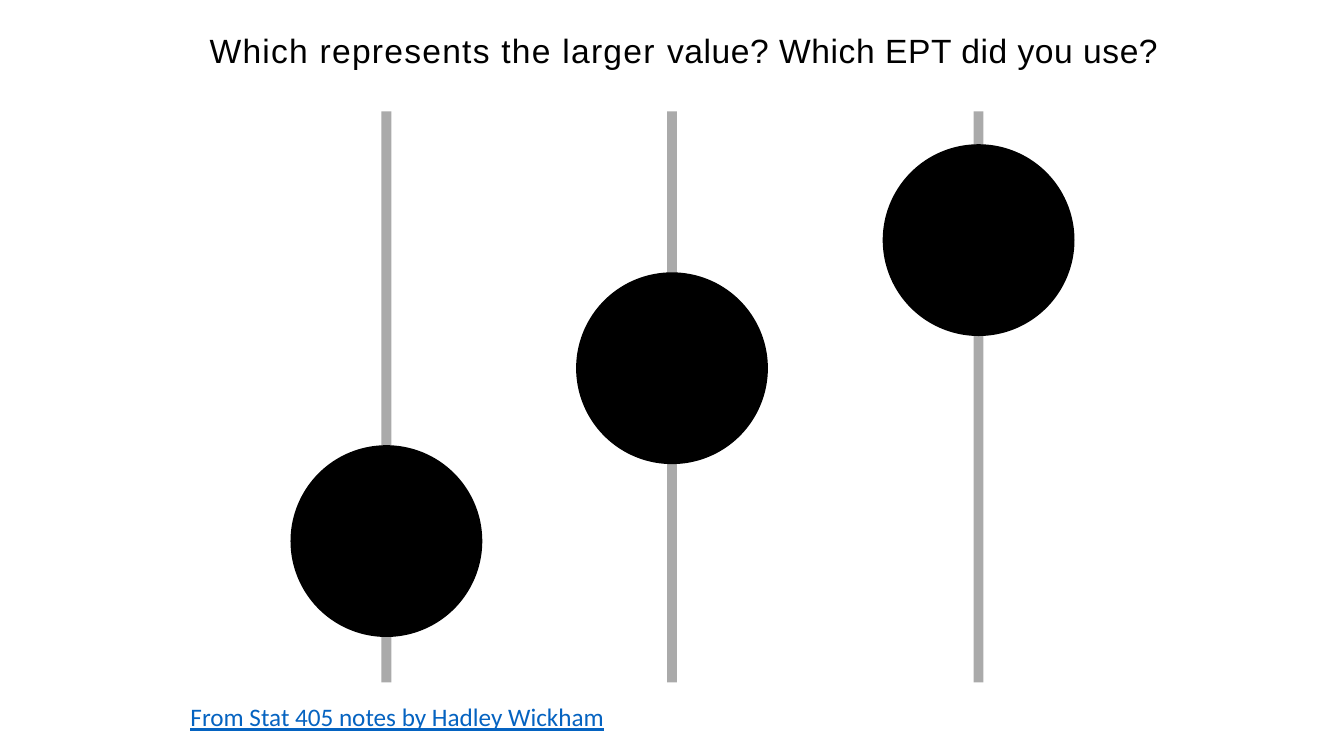
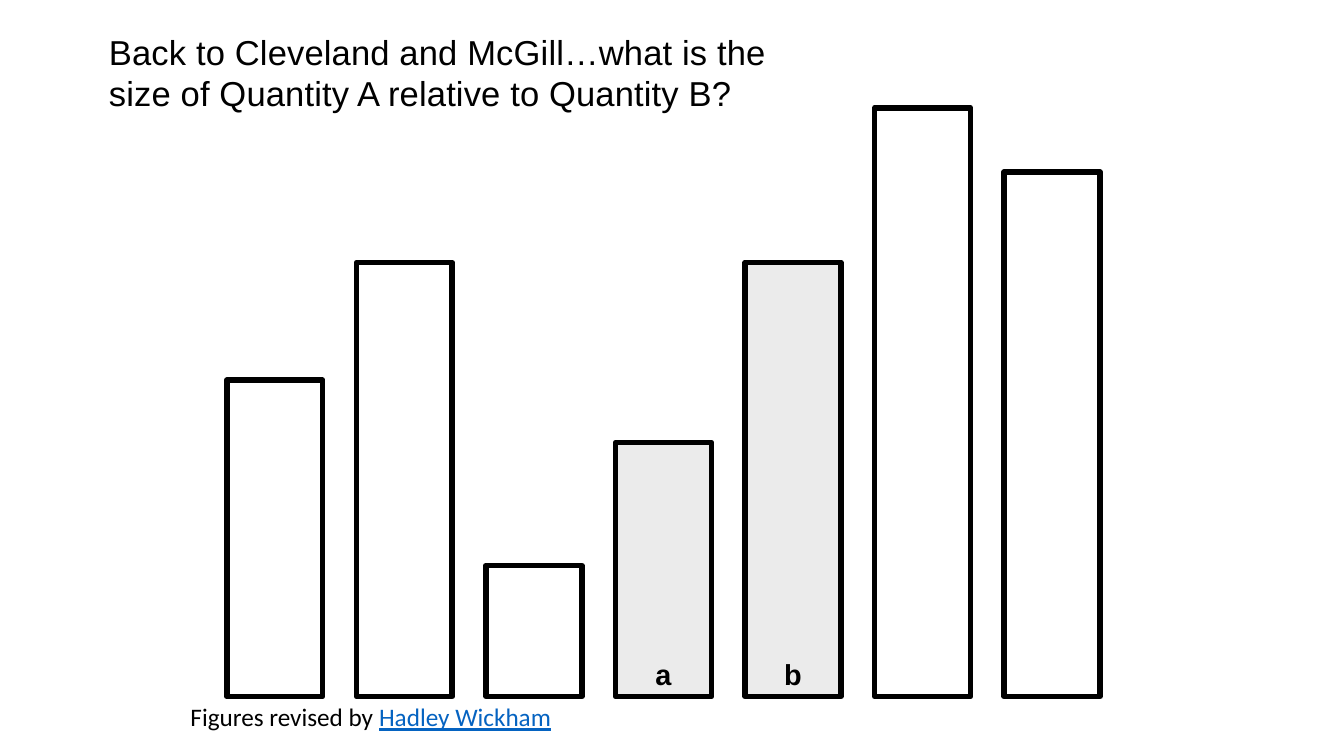
import pptx
import pptx.dml.color
import pptx.enum.shapes
import pptx.enum.text
import pptx.util

Pt = pptx.util.Pt
RGBColor = pptx.dml.color.RGBColor
Shape = pptx.enum.shapes.MSO_SHAPE
Anchor = pptx.enum.text.MSO_ANCHOR
Align = pptx.enum.text.PP_ALIGN

BLACK = RGBColor(0x00, 0x00, 0x00)
TRACK_GRAY = RGBColor(0xAA, 0xAA, 0xAA)
HIGHLIGHT_GRAY = RGBColor(0xEB, 0xEB, 0xEB)
LINK_BLUE = RGBColor(0x05, 0x63, 0xC1)


def write(paragraph, text, font="Arial", size=24, color=BLACK, bold=False,
          underline=False, spacing=0):
    """Append a formatted run; spacing is the letter spacing in points."""
    run = paragraph.add_run()
    run.text = text
    run.font.name = font
    run.font.size = Pt(size)
    run.font.color.rgb = color
    run.font.bold = bold
    run.font.underline = underline
    if spacing:
        run._r.get_or_add_rPr().set("spc", str(round(spacing * 100)))


class Deck:
    """Holds the shared style and the current slide."""

    def __init__(self):
        """Start an empty widescreen presentation."""
        self.presentation = pptx.Presentation()
        self.presentation.slide_width = Pt(960)
        self.presentation.slide_height = Pt(540)
        self.slide = None

    def new_slide(self):
        """Add a slide that has only a title."""
        layout = self.presentation.slide_layouts.get_by_name("Title Only")
        self.slide = self.presentation.slides.add_slide(layout)

    def frame(self, holder, left, top, width, height, inset):
        """Place a text holder and return its first paragraph."""
        holder.left, holder.top = Pt(left), Pt(top)
        holder.width, holder.height = Pt(width), Pt(height)
        text_frame = holder.text_frame
        text_frame.word_wrap = True
        text_frame.auto_size = pptx.enum.text.MSO_AUTO_SIZE.NONE
        text_frame.vertical_anchor = Anchor.TOP
        text_frame.margin_left = text_frame.margin_right = Pt(inset)
        text_frame.margin_top = text_frame.margin_bottom = Pt(inset / 2)
        paragraph = text_frame.paragraphs[0]
        paragraph.alignment = Align.LEFT
        return paragraph

    def title(self, runs, left, top, width, height, inset=0, size=24, leading=None):
        """Fill the title from pairs of text and letter spacing."""
        paragraph = self.frame(self.slide.shapes.title, left, top, width, height, inset)
        if leading:
            paragraph.line_spacing = Pt(leading)
        for text, spacing in runs:
            write(paragraph, text, size=size, spacing=spacing)

    def credit(self, link, lead=""):
        """Add the source line at the foot, with the link part underlined."""
        box = self.slide.shapes.add_textbox(0, 0, 0, 0)
        paragraph = self.frame(box, 129, 497.5, 340, 29, inset=7.2)
        if lead:
            write(paragraph, lead, font="Calibri", size=18)
        write(paragraph, link, font="Calibri", size=18, color=LINK_BLUE, underline=True)

    def shape(self, kind, left, top, width, height, fill=None, outline=None):
        """Add a flat preset shape."""
        shape = self.slide.shapes.add_shape(kind, Pt(left), Pt(top), Pt(width), Pt(height))
        shape.shadow.inherit = False
        if fill is None:
            shape.fill.background()
        else:
            shape.fill.solid()
            shape.fill.fore_color.rgb = fill
        if outline is None:
            shape.line.fill.background()
        else:
            shape.line.color.rgb = BLACK
            shape.line.width = Pt(outline)
        return shape

    def slider(self, center, dot_top, diameter=137, track_width=7):
        """Add a vertical track with a dot on it."""
        self.shape(Shape.RECTANGLE, center - track_width / 2, 79.5, track_width, 408,
                   fill=TRACK_GRAY)
        self.shape(Shape.OVAL, center - diameter / 2, dot_top, diameter, diameter,
                   fill=BLACK)

    def bar(self, position, height, label, baseline=497.5):
        """Add one outlined bar; a labelled bar is shaded."""
        bar = self.shape(Shape.RECTANGLE, 162 + 92.55 * position, baseline - height,
                         68.5, height, fill=HIGHLIGHT_GRAY if label else None, outline=4)
        if label:
            text_frame = bar.text_frame
            text_frame.vertical_anchor = Anchor.BOTTOM
            text_frame.margin_bottom = Pt(3.6)
            text_frame.paragraphs[0].alignment = Align.CENTER
            write(text_frame.paragraphs[0], label, size=20.6, bold=True)


def main():
    """Build both slides and save them."""
    deck = Deck()

    deck.new_slide()
    deck.title([("Which represents the larger ", 0.9),
                ("value? Which EPT did you use?", 0.4)],
               142.5, 17.5, 720, 36, inset=7.2)
    for center, dot_top in ((276, 318), (480, 194.5), (699, 103)):
        deck.slider(center, dot_top)
    deck.credit("From Stat 405 notes by Hadley Wickham")

    deck.new_slide()
    deck.title([("Back to Cleveland and McGill…what is the size of Quantity A "
                 "relative to Quantity B?", 0.1)],
               77.8, 22.3, 474, 58.5, size=24.7, leading=29.5)
    bars = ((226, ""), (310, ""), (93.5, ""), (181.5, "a"),
            (310, "b"), (420.5, ""), (374.5, ""))
    for position, (height, label) in enumerate(bars):
        deck.bar(position, height, label)
    deck.credit("Hadley Wickham", lead="Figures revised by ")

    deck.presentation.save("out.pptx")


if __name__ == "__main__":
    main()
